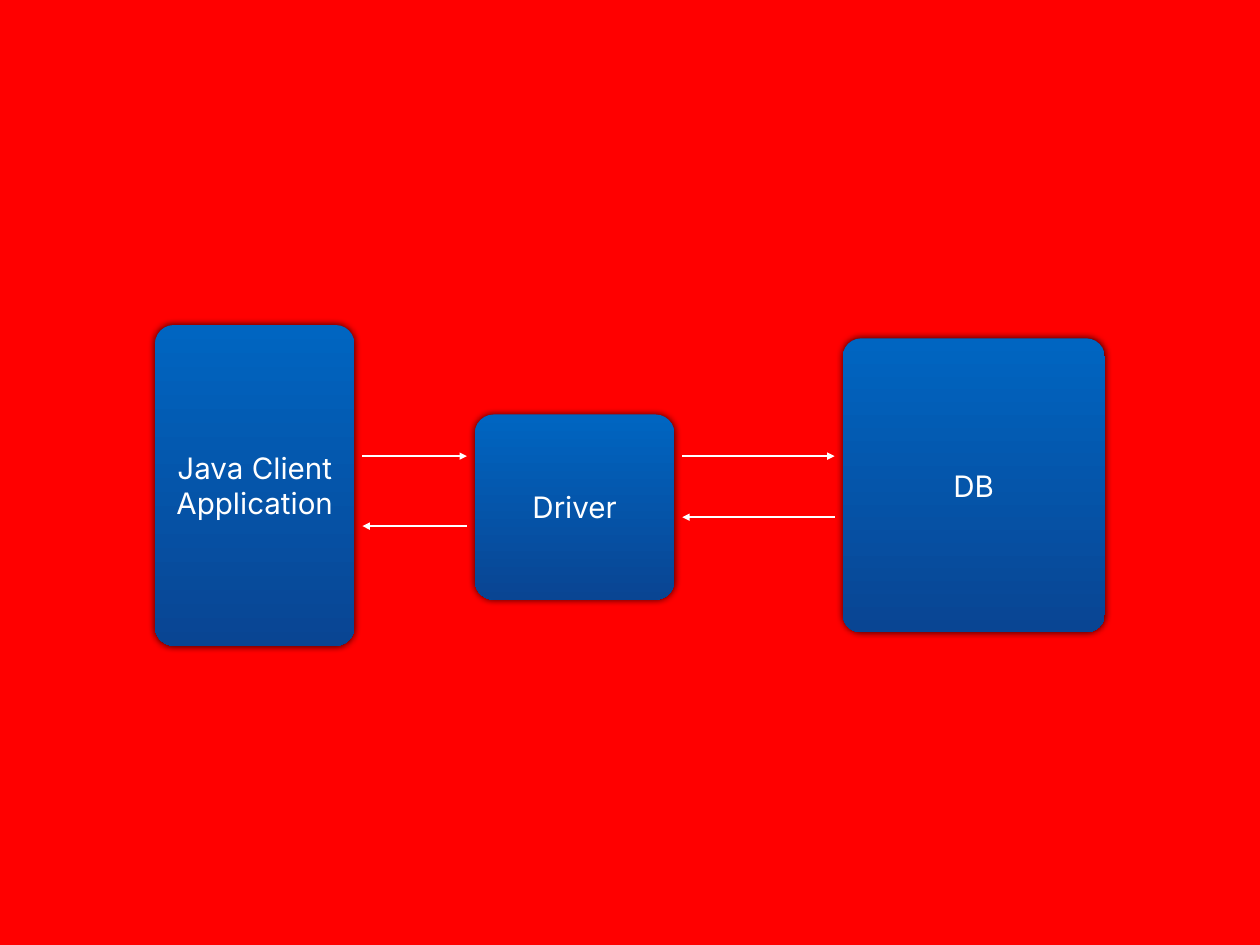
from lxml.etree import SubElement
from pptx import Presentation
from pptx.dml.color import RGBColor
from pptx.enum.shapes import MSO_CONNECTOR, MSO_SHAPE
from pptx.enum.text import MSO_ANCHOR, PP_ALIGN
from pptx.oxml.ns import qn
from pptx.util import Inches, Pt

RED = RGBColor(0xFF, 0x00, 0x00)
WHITE = RGBColor(0xFF, 0xFF, 0xFF)
BLUE_TOP = RGBColor(0x00, 0x65, 0xC1)
BLUE_BOTTOM = RGBColor(0x09, 0x45, 0x93)

RADIUS = 0.21
GAP = 0.09
INSET = Inches(0.06)
FRAME = {"word_wrap": True, "vertical_anchor": MSO_ANCHOR.MIDDLE,
         "margin_left": INSET, "margin_right": INSET,
         "margin_top": INSET, "margin_bottom": INSET}
FONT = {"name": "Inter", "size": Pt(24)}

# left, top, width, height in inches
CLIENT = (1.75, 3.67, 2.25, 3.62)
DRIVER = (5.36, 4.68, 2.25, 2.09)
DATABASE = (9.51, 3.82, 2.96, 3.32)
REQUEST_Y = 5.15


def apply(obj, values):
    """Set each attribute of obj from a dict of format values."""
    for name, value in values.items():
        setattr(obj, name, value)


def add_glow(sp):
    """Give a shape a soft dark shadow all around."""
    sp.shadow.inherit = False
    effects = sp._element.spPr.find(qn("a:effectLst"))
    shadow = SubElement(effects, qn("a:outerShdw"), blurRad=str(Pt(6)), dist="0",
                        dir="18900000", algn="ctr", rotWithShape="0")
    color = SubElement(shadow, qn("a:srgbClr"), val="000000")
    SubElement(color, qn("a:alpha"), val="80000")


def add_node(s, box, lines):
    """Draw a rounded gradient box with one centred paragraph per line."""
    sp = s.shapes.add_shape(MSO_SHAPE.ROUNDED_RECTANGLE, *map(Inches, box))
    sp.adjustments[0] = RADIUS / min(box[2:])
    sp.fill.gradient()
    sp.fill.gradient_angle = 270
    for stop, color in zip(sp.fill.gradient_stops, (BLUE_TOP, BLUE_BOTTOM)):
        stop.color.rgb = color
    sp.line.fill.background()
    add_glow(sp)
    tf = sp.text_frame
    apply(tf, FRAME)
    tf.text = "\n".join(lines)
    for p in tf.paragraphs:
        p.alignment = PP_ALIGN.CENTER
        for r in p.runs:
            apply(r.font, FONT)
            r.font.color.rgb = WHITE


def add_arrow(s, start, end, y):
    """Draw a level white arrow from start to end at height y."""
    line = s.shapes.add_connector(MSO_CONNECTOR.STRAIGHT, Inches(start), Inches(y),
                                  Inches(end), Inches(y))
    line.line.color.rgb = WHITE
    line.line.width = Pt(2)
    spPr = line._element.spPr
    SubElement(spPr.find(qn("a:ln")), qn("a:tailEnd"), type="triangle")
    SubElement(spPr, qn("a:effectLst"))


def add_exchange(s, left_box, right_box, reply_y):
    """Join two boxes with a request arrow and a reply arrow below it."""
    start = left_box[0] + left_box[2] + GAP
    end = right_box[0] - GAP
    add_arrow(s, start, end, REQUEST_Y)
    add_arrow(s, end, start, reply_y)


prs = Presentation()
prs.slide_width, prs.slide_height = Inches(14.22), Inches(10.67)
s = prs.slides.add_slide(prs.slide_layouts[6])
s.background.fill.solid()
s.background.fill.fore_color.rgb = RED

add_node(s, DRIVER, ["Driver"])
add_node(s, DATABASE, ["DB"])
add_node(s, CLIENT, ["Java Client", "Application"])
add_exchange(s, CLIENT, DRIVER, 5.94)
add_exchange(s, DRIVER, DATABASE, 5.84)

prs.save("out.pptx")
